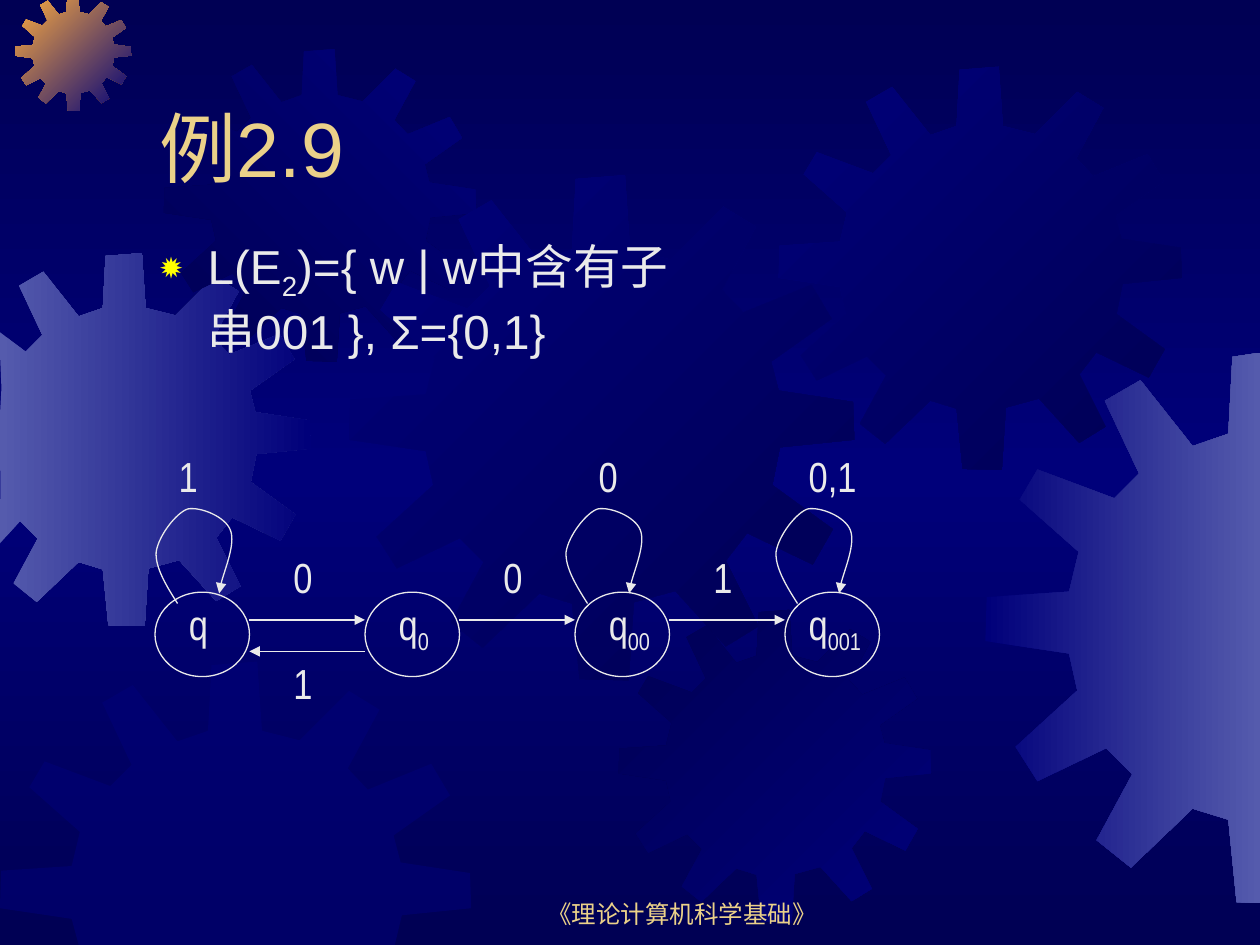
from copy import deepcopy

from lxml import etree
from pptx import Presentation
from pptx import util as u
from pptx.dml.color import RGBColor
from pptx.enum import shapes, text
from pptx.oxml import ns

Inches = u.Inches
COLORS = {
    "night": "000054",
    "blue": "00007A",
    "lavender": "555BAD",
    "orange": "FCAB40",
    "gold": "EBD189",
    "white": "EAEAEA",
    "yellow": "FFFF00",
}
SLIDE_WIDTH, SLIDE_HEIGHT = 10, 7.5
GEAR_SIZE = 4.01
GEAR_OUTLINE = [
    (2.55, 0.67), (2.23, 0.59), (2.19, 0), (1.8, 0.03), (1.77, 0.59), (1.51, 0.68),
    (1.13, 0.2), (0.87, 0.35), (1.12, 0.88), (0.94, 1.06), (0.38, 0.85), (0.25, 1.07),
    (0.68, 1.45), (0.61, 1.74), (0.01, 1.78), (0, 2.1), (0.61, 2.19), (0.67, 2.46),
    (0.22, 2.87), (0.38, 3.12), (0.88, 2.88), (1.07, 3.07), (0.81, 3.55), (1.06, 3.75),
    (1.51, 3.32), (1.77, 3.4), (1.83, 4), (2.22, 4.01), (2.26, 3.39), (2.59, 3.3),
    (2.99, 3.74), (3.25, 3.58), (2.99, 3.06), (3.16, 2.84), (3.68, 3.09), (3.84, 2.81),
    (3.36, 2.46), (3.42, 2.16), (4.01, 2.1), (4, 1.8), (3.41, 1.71), (3.35, 1.48),
    (3.83, 1.14), (3.67, 0.87), (3.13, 1.09), (2.96, 0.91), (3.23, 0.41), (2.97, 0.25),
]
GEARS = [
    (-0.49, 2.01, 2.96, "lavender", "blue", 0),
    (0.12, -0.04, 0.92, "orange", "blue", 45),
    (1.3, 0.39, 2.48, "night", "blue", 315),
    (2.77, 1.39, 4.01, "blue", "night", 45),
    (0, 5.25, 3.74, "blue", None, 0),
    (4.91, 4.84, 2.48, "night", "blue", 45),
    (6.18, 0.53, 3.2, "blue", "night", 45),
    (7.82, 2.8, 4.37, "blue", "lavender", 0),
]
LOOP_CURVE = [
    (0.18, 0.77), (0.09, 0.63), (0, 0.48), (0.01, 0.36), (0.03, 0.23), (0.17, 0.05),
    (0.26, 0.02), (0.36, 0), (0.56, 0.08), (0.6, 0.19), (0.64, 0.3), (0.51, 0.61), (0.51, 0.69),
]
STATE_WIDTH, STATE_HEIGHT, STATE_PITCH = 0.75, 0.67, 5 / 3


def rgb(name):
    return RGBColor.from_string(COLORS[name])


def set_gradient(fill, names, angle):
    fill.gradient()
    fill.gradient_angle = -angle % 360
    for index, (stop, name) in enumerate(zip(fill.gradient_stops, names)):
        stop.color.rgb = rgb(name)
        stop.position = index / (len(names) - 1)


def draw_background(slide):
    fill = slide.background.fill
    fill.gradient()
    stop_list = slide.element.find(".//" + ns.qn("a:gsLst"))
    stop_list.append(deepcopy(stop_list[0]))
    set_gradient(fill, ("night", "blue", "night"), 90)


def add_outline(slide, points, close):
    corners = [(Inches(x), Inches(y)) for x, y in points]
    builder = slide.shapes.build_freeform(*corners[0])
    builder.add_line_segments(corners[1:], close=close)
    shape = builder.convert_to_shape()
    shape.shadow.inherit = False
    return shape


def draw_gear(slide, left, top, size, start, end, angle):
    scale = size / GEAR_SIZE
    points = [
        (min(max(left + x * scale, 0), SLIDE_WIDTH), min(max(top + y * scale, 0), SLIDE_HEIGHT))
        for x, y in GEAR_OUTLINE
    ]
    gear = add_outline(slide, points, True)
    gear.line.fill.background()
    if end:
        set_gradient(gear.fill, (start, end), angle)
    else:
        gear.fill.solid()
        gear.fill.fore_color.rgb = rgb(start)
        color = gear.element.spPr.find(ns.qn("a:solidFill"))[0]
        etree.SubElement(color, ns.qn("a:alpha")).set("val", "50000")


def add_text(slide, box, parts, size, color="white", font="Arial", anchor=text.MSO_ANCHOR.TOP):
    shape = slide.shapes.add_textbox(*map(Inches, box))
    frame = shape.text_frame
    frame.word_wrap = True
    frame.vertical_anchor = anchor
    paragraph = frame.paragraphs[0]
    for index, part in enumerate(parts):
        run = paragraph.add_run()
        run.text = part
        run.font.name = font
        run.font.size = u.Pt(size)
        run.font.color.rgb = rgb(color)
        if index % 2:
            run.font._element.set("baseline", "-25000")
    return paragraph


def draw_body(slide, box):
    paragraph = add_text(slide, box, ("L(E", "2", ")={ w | w中含有子串001 }, Σ={0,1}"), 27.2)
    properties = paragraph._p.get_or_add_pPr()
    properties.set("marL", str(Inches(0.38)))
    properties.set("indent", str(Inches(-0.38)))
    bullet_color = etree.SubElement(properties, ns.qn("a:buClr"))
    etree.SubElement(bullet_color, ns.qn("a:srgbClr")).set("val", COLORS["yellow"])
    etree.SubElement(properties, ns.qn("a:buSzPct")).set("val", "80000")
    etree.SubElement(properties, ns.qn("a:buChar")).set("char", "✹")


def style_line(shape, arrow=False):
    shape.line.color.rgb = rgb("white")
    shape.line.width = u.Pt(0.75)
    if arrow:
        etree.SubElement(shape.line._get_or_add_ln(), ns.qn("a:tailEnd")).set("type", "triangle")


def draw_arrow(slide, start, end, y):
    arrow = slide.shapes.add_connector(
        shapes.MSO_CONNECTOR.STRAIGHT, Inches(start), Inches(y), Inches(end), Inches(y)
    )
    style_line(arrow, True)
    etree.SubElement(arrow.element.spPr, ns.qn("a:effectLst"))


def draw_loop(slide, left, top):
    loop = add_outline(slide, [(left + x, top + y) for x, y in LOOP_CURVE], False)
    loop.fill.background()
    style_line(loop, True)
    path_element = loop.element.find(".//" + ns.qn("a:path"))
    segments = path_element.findall(ns.qn("a:lnTo"))
    for first in range(0, len(segments), 3):
        curve = etree.SubElement(path_element, ns.qn("a:cubicBezTo"))
        for segment in segments[first:first + 3]:
            curve.append(segment[0])
            path_element.remove(segment)


def add_label(slide, left, top, width, *parts):
    add_text(slide, (left, top, width, 0.5), parts, 24, font="Arial Narrow")


def draw_state(slide, left, top, name, name_offset):
    state = slide.shapes.add_shape(
        shapes.MSO_SHAPE.OVAL, Inches(left), Inches(top), Inches(STATE_WIDTH), Inches(STATE_HEIGHT)
    )
    state.shadow.inherit = False
    state.fill.background()
    style_line(state)
    add_label(slide, left + name_offset, top, 0.67, *name)


def draw_automaton(slide, left, top):
    names = [("q",), ("q", "0"), ("q", "00"), ("q", "001")]
    lefts = [left + index * STATE_PITCH for index in range(len(names))]
    for state_left, name, offset in zip(lefts, names, (0.17, 0.17, 0.17, 0.09)):
        draw_state(slide, state_left, top, name, offset)
    for state_left, next_left, symbol in zip(lefts, lefts[1:], "001"):
        draw_arrow(slide, state_left + STATE_WIDTH, next_left, top + 0.22)
        add_label(slide, state_left + 1, top - 0.37, 0.5, symbol)
    draw_arrow(slide, lefts[1], left + STATE_WIDTH, top + 0.47)
    add_label(slide, left + 1, top + 0.47, 0.5, "1")
    for index, symbol, loop_offset in ((0, "1", 0), (2, "0", -0.08), (3, "0,1", -0.08)):
        draw_loop(slide, lefts[index] + loop_offset, top - 0.68)
        add_label(slide, lefts[index] + 0.09, top - 1.17, 1, symbol)


def main():
    presentation = Presentation()
    presentation.slide_width = Inches(SLIDE_WIDTH)
    presentation.slide_height = Inches(SLIDE_HEIGHT)
    slide = presentation.slides.add_slide(presentation.slide_layouts[6])
    draw_background(slide)
    for gear in GEARS:
        draw_gear(slide, *gear)
    bottom = text.MSO_ANCHOR.BOTTOM
    footer = add_text(slide, (3.83, 6.92, 3.17, 0.5), ("《理论计算机科学基础》",), 14, "gold", anchor=bottom)
    footer.alignment = text.PP_ALIGN.CENTER
    add_text(slide, (1.17, 0.33, 8.5, 1.25), ("例2.9",), 44, "gold", anchor=bottom)
    draw_body(slide, (1.17, 1.83, 4.54, 1.08))
    draw_automaton(slide, 1.23, 4.7)
    presentation.save("out.pptx")


if __name__ == "__main__":
    main()
